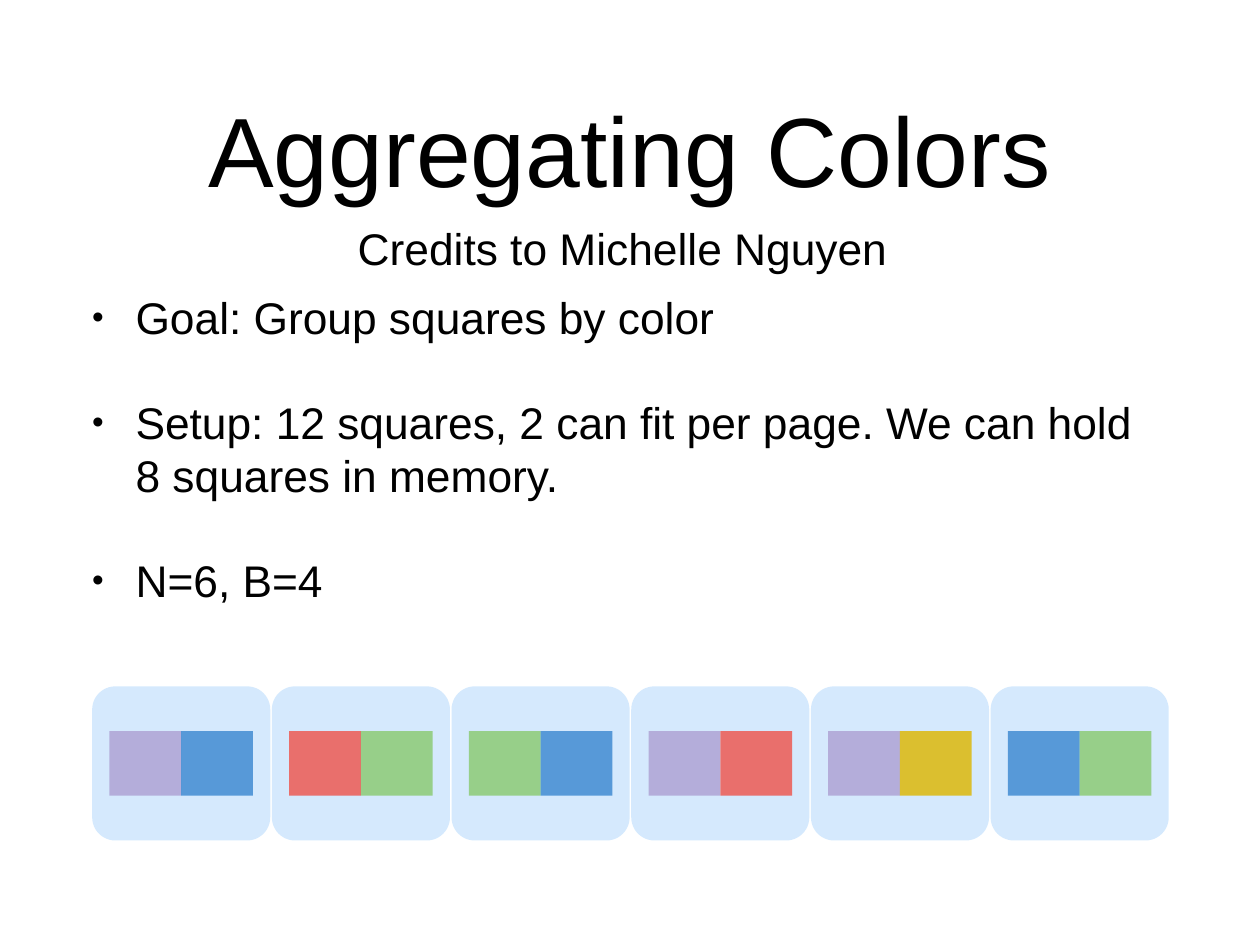
"""Slide on grouping coloured squares that are stored two to a page."""
from lxml import etree
from pptx import Presentation
from pptx.dml.color import RGBColor
from pptx.enum.shapes import MSO_SHAPE as Kind
from pptx.enum.text import MSO_ANCHOR as Anchor, PP_ALIGN as Align
from pptx.oxml.ns import qn
from pptx.util import Inches, Pt

TITLE = "Aggregating Colors"
CREDIT = "Credits to Michelle Nguyen"
POINTS = [
    "Goal: Group squares by color",
    "Setup: 12 squares, 2 can fit per page. We can hold 8 squares in memory.",
    "N=6, B=4",
]
PURPLE, BLUE = ("773F9B", 35), ("0365C0", 60)
RED, GREEN = ("EC5D57", 87), ("70BF41", 61)
YELLOW, PAPER = ("DCBD23", 94), ("51A7F9", 24)
PAGES = [
    (PURPLE, BLUE), (RED, GREEN), (GREEN, BLUE),
    (PURPLE, RED), (PURPLE, YELLOW), (BLUE, GREEN),
]
LEFT, LAST, TOP = 1.04, 11.18, 7.75
WIDE, HIGH = 2.01, 1.74
SIDE, TALL = 0.81, 0.73
STEP = (LAST - LEFT) / (len(PAGES) - 1)


def color(code):
    return RGBColor.from_string(code)


def add_text(slide, box, lines, size, anchor, align, inset=0, wrap=True):
    frame = slide.shapes.add_textbox(*map(Inches, box)).text_frame
    frame.word_wrap = wrap
    frame.vertical_anchor = anchor
    frame.margin_left = frame.margin_right = Inches(inset)
    frame.margin_top = frame.margin_bottom = Inches(inset)
    frame.text = "\n".join(lines)
    for para in frame.paragraphs:
        para.alignment = align
        font = para.font
        font.name, font.size = "Arial", Pt(size)
        font.color.rgb = color("000000")
    return frame


def add_bullet(para):
    props = para._p.get_or_add_pPr()
    props.set("marL", str(Inches(0.49)))
    props.set("indent", str(-Inches(0.49)))
    marks = [("a:buSzPct", "val", "75000"),
             ("a:buFont", "typeface", "Arial"),
             ("a:buChar", "char", "•")]
    for spot, (tag, key, value) in enumerate(marks):
        mark = etree.Element(qn(tag))
        mark.set(key, value)
        props.insert(spot, mark)


def add_block(slide, kind, box, paint):
    code, alpha = paint
    block = slide.shapes.add_shape(kind, *map(Inches, box))
    block.shadow.inherit = False
    block.line.fill.background()
    block.fill.solid()
    block.fill.fore_color.rgb = color(code)
    tone = block._element.spPr.find(qn("a:solidFill"))[0]
    etree.SubElement(tone, qn("a:alpha")).set("val", str(alpha * 1000))
    return block


def main():
    deck = Presentation()
    deck.slide_width, deck.slide_height = Inches(14.22), Inches(10.67)
    slide = deck.slides.add_slide(deck.slide_layouts[6])

    add_text(slide, (LEFT, 0.49, 12.14, 2.36), [TITLE], 80,
             Anchor.MIDDLE, Align.CENTER)
    body = add_text(slide, (LEFT, 3.28, 12.14, 4.2), POINTS, 36,
                    Anchor.TOP, Align.LEFT)
    for spot, para in enumerate(body.paragraphs):
        add_bullet(para)
        if spot:
            para.space_before = Pt(42)

    for spot in range(len(PAGES)):
        page = add_block(slide, Kind.ROUNDED_RECTANGLE,
                         (LEFT + spot * STEP, TOP, WIDE, HIGH), PAPER)
        page.adjustments[0] = 0.15
    for spot, pair in enumerate(PAGES):
        start = LEFT + spot * STEP + (WIDE - 2 * SIDE) / 2
        for place, paint in enumerate(pair):
            add_block(slide, Kind.RECTANGLE,
                      (start + place * SIDE, TOP + (HIGH - TALL) / 2,
                       SIDE, TALL), paint)

    add_text(slide, (3.91, 2.44, 6.23, 0.72), [CREDIT], 36,
             Anchor.MIDDLE, Align.CENTER, 0.06, False)
    deck.save("out.pptx")


if __name__ == "__main__":
    main()
